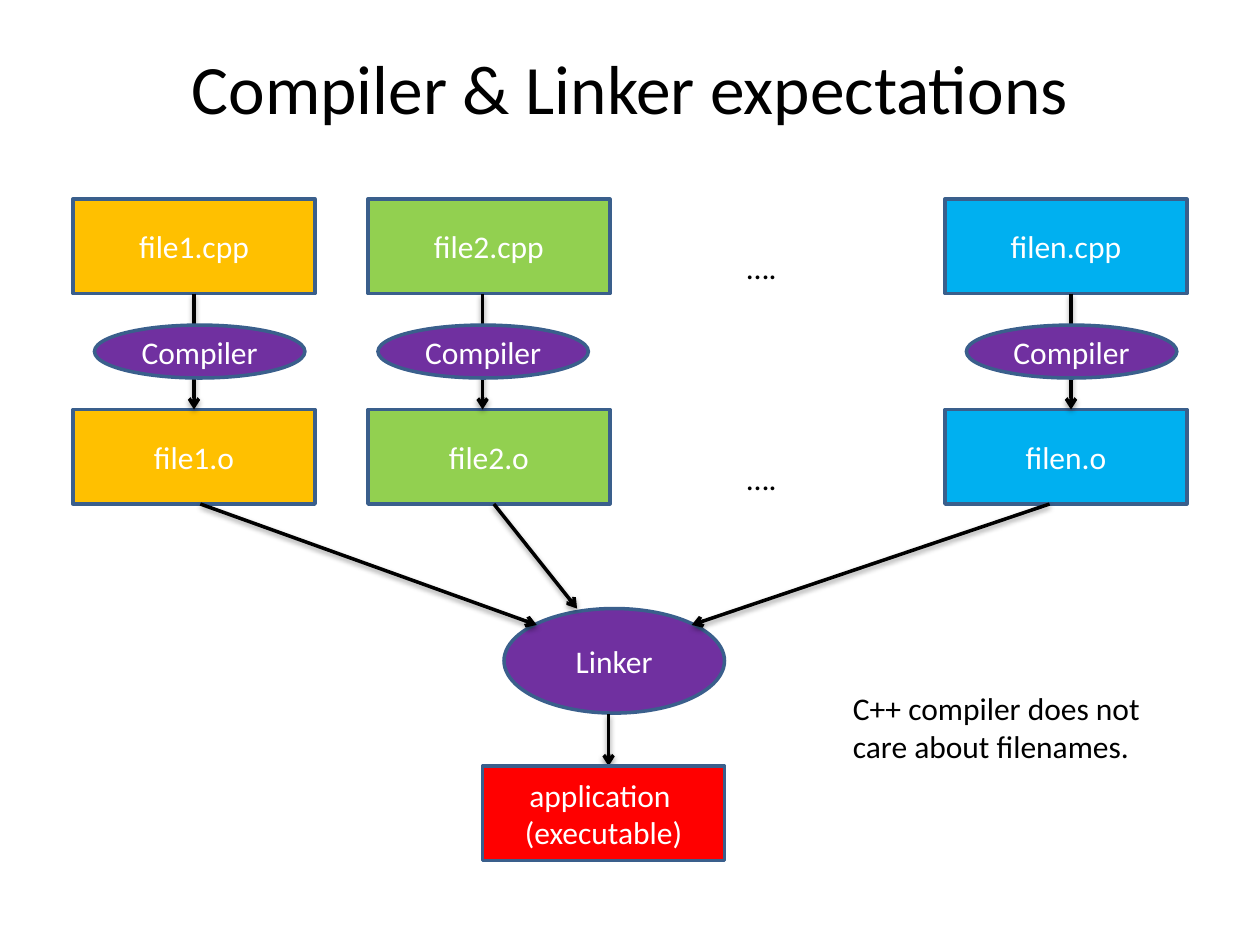
import pptx
import pptx.dml.color
import pptx.enum.shapes
import pptx.enum.text
import pptx.oxml
import pptx.oxml.ns
import pptx.util

Inches = pptx.util.Inches
Pt = pptx.util.Pt
SHAPE = pptx.enum.shapes.MSO_SHAPE
ALIGN = pptx.enum.text.PP_ALIGN
ANCHOR = pptx.enum.text.MSO_ANCHOR

BLACK, WHITE, OUTLINE = "000000", "FFFFFF", "3A5F8C"
PURPLE, RED = "7030A0", "FF0000"
ARROW_HEAD = "<a:tailEnd %s type='arrow'/>" % pptx.oxml.ns.nsdecls("a")
ARROW_SHADOW = (
    "<a:effectLst %s><a:outerShdw blurRad='40000' dist='20000' dir='5400000' "
    "rotWithShape='0'><a:srgbClr val='000000'><a:alpha val='38000'/></a:srgbClr>"
    "</a:outerShdw></a:effectLst>" % pptx.oxml.ns.nsdecls("a")
)


def rgb(value):
    """Turn a hex string into a colour."""
    return pptx.dml.color.RGBColor.from_string(value)


class Diagram:
    """Holds the style and the current slide."""

    font, size, line_width = "Calibri", 18, 2

    def __init__(self, slide):
        """Keep the slide to draw on."""
        self.slide = slide

    def set_text(self, tf, text, color, align, size=None):
        """Fill a text frame in one style."""
        tf.text = text
        for p in tf.paragraphs:
            p.alignment = align
            p.font.name = self.font
            p.font.size = Pt(size or self.size)
            p.font.color.rgb = rgb(color)

    def node(self, kind, text, fill, x, y, w, h):
        """Draw an outlined shape with a centred white label."""
        sp = self.slide.shapes.add_shape(kind, Inches(x), Inches(y), Inches(w), Inches(h))
        sp.shadow.inherit = False
        sp.fill.solid()
        sp.fill.fore_color.rgb = rgb(fill)
        sp.line.color.rgb = rgb(OUTLINE)
        sp.line.width = Pt(self.line_width)
        sp.text_frame.word_wrap = True
        sp.text_frame.vertical_anchor = ANCHOR.MIDDLE
        self.set_text(sp.text_frame, text, WHITE, ALIGN.CENTER)

    def box(self, text, fill, x, y):
        """Draw a file box."""
        self.node(SHAPE.RECTANGLE, text, fill, x, y, 1.92, 0.75)

    def label(self, text, x, y, w, h):
        """Add plain unwrapped text."""
        tf = self.slide.shapes.add_textbox(Inches(x), Inches(y), Inches(w), Inches(h)).text_frame
        tf.word_wrap = False
        tf.auto_size = pptx.enum.text.MSO_AUTO_SIZE.SHAPE_TO_FIT_TEXT
        self.set_text(tf, text, BLACK, ALIGN.LEFT)

    def title(self, text):
        """Add the centred slide title."""
        tf = self.slide.shapes.add_textbox(Inches(0.5), Inches(0.3), Inches(9), Inches(0.78)).text_frame
        tf.word_wrap = True
        tf.vertical_anchor = ANCHOR.MIDDLE
        self.set_text(tf, text, BLACK, ALIGN.CENTER, 39.6)

    def arrow(self, x1, y1, x2, y2):
        """Draw an arrow with a soft shadow."""
        cxn = self.slide.shapes.add_connector(
            pptx.enum.shapes.MSO_CONNECTOR.STRAIGHT, Inches(x1), Inches(y1), Inches(x2), Inches(y2))
        cxn.line.color.rgb = rgb(BLACK)
        cxn.line.width = Pt(self.line_width)
        props = cxn.element.spPr
        props.find(pptx.oxml.ns.qn("a:ln")).append(pptx.oxml.parse_xml(ARROW_HEAD))
        props.append(pptx.oxml.parse_xml(ARROW_SHADOW))


prs = pptx.Presentation()
prs.slide_width, prs.slide_height = Inches(10), Inches(7.5)
d = Diagram(prs.slides.add_slide(prs.slide_layouts[6]))

SOURCE_Y, COMPILER_Y, OBJECT_Y = 1.58, 2.58, 3.25
# name, fill, box left, compiler left, compile arrow x, link arrow start x, link arrow end
FILES = [
    ("file1", "FFC000", 0.58, 0.75, 1.54, 1.59, (4.26, 4.96)),
    ("file2", "92D050", 2.92, 3, 3.83, 3.92, (4.58, 4.83)),
    ("filen", "00B0F0", 7.5, 7.67, 8.5, 8.33, (5.49, 4.96)),
]

d.title("Compiler & Linker expectations")
for name, fill, box_x, compiler_x, compile_x, link_x, link_end in FILES:
    d.box(name + ".cpp", fill, box_x, SOURCE_Y)
    d.box(name + ".o", fill, box_x, OBJECT_Y)
    d.arrow(compile_x, SOURCE_Y + 0.75, compile_x, OBJECT_Y)
    d.node(SHAPE.OVAL, "Compiler", PURPLE, compiler_x, COMPILER_Y, 1.67, 0.42)
for y in (SOURCE_Y, OBJECT_Y):
    d.label("\u2026.", 5.83, y + 0.34, 0.44, 0.4)

d.node(SHAPE.OVAL, "Linker", PURPLE, 4, 4.83, 1.75, 0.83)
for *_, link_x, link_end in FILES:
    d.arrow(link_x, OBJECT_Y + 0.75, *link_end)
d.arrow(4.83, 5.67, 4.83, 6.08)
d.box("application \v(executable)", RED, 3.83, 6.08)
d.label("C++ compiler does not\ncare about filenames.", 6.67, 5.42, 2.51, 0.71)

prs.save("out.pptx")
